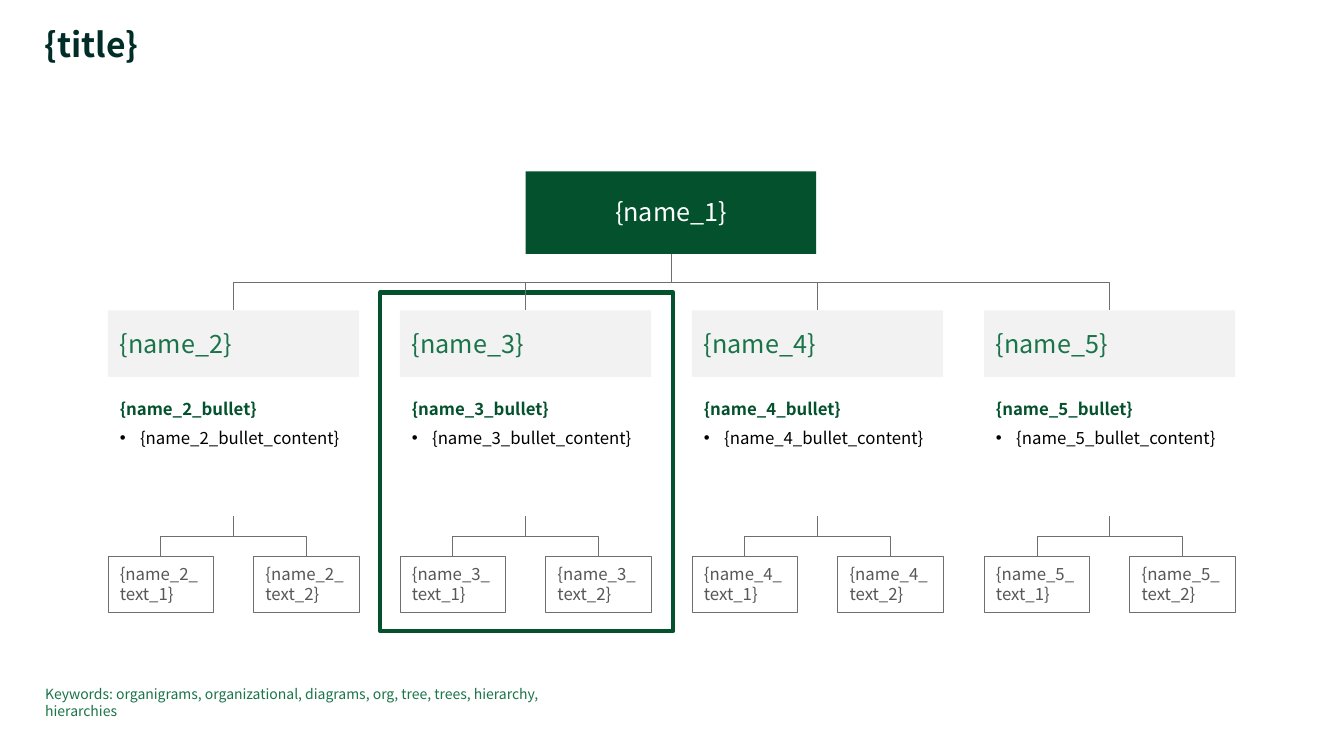
import pptx
import pptx.util
import pptx.dml.color
import pptx.enum.shapes
import pptx.enum.text
import pptx.oxml.ns
from lxml import etree

Cm, Pt = pptx.util.Cm, pptx.util.Pt
RGBColor = pptx.dml.color.RGBColor
MSO_SHAPE = pptx.enum.shapes.MSO_SHAPE
ANCHOR = pptx.enum.text.MSO_ANCHOR
ALIGN = pptx.enum.text.PP_ALIGN
qn = pptx.oxml.ns.qn

TITLE = "{title}"
ROOT = "{name_1}"
BRANCHES = [
    ("{name_2}", "{name_2_bullet}", "{name_2_bullet_content}", ["{name_2_text_1}", "{name_2_text_2}"]),
    ("{name_3}", "{name_3_bullet}", "{name_3_bullet_content}", ["{name_3_text_1}", "{name_3_text_2}"]),
    ("{name_4}", "{name_4_bullet}", "{name_4_bullet_content}", ["{name_4_text_1}", "{name_4_text_2}"]),
    ("{name_5}", "{name_5_bullet}", "{name_5_bullet_content}", ["{name_5_text_1}", "{name_5_text_2}"]),
]
KEYWORDS = "Keywords: organigrams, organizational, diagrams, org, tree, trees, hierarchy, hierarchies"

FONT = "Noto Sans CJK JP"
INK = RGBColor(0x00, 0x2D, 0x28)
DARK_GREEN = RGBColor(0x03, 0x52, 0x2D)
GREEN = RGBColor(0x1A, 0x74, 0x49)
PALE = RGBColor(0xF2, 0xF2, 0xF2)
LINE_GRAY = RGBColor(0x6E, 0x6F, 0x73)
TEXT_GRAY = RGBColor(0x57, 0x57, 0x57)
WHITE = RGBColor(0xFF, 0xFF, 0xFF)
BLACK = RGBColor(0x00, 0x00, 0x00)

# Lengths in cm
COL_LEFT, COL_PITCH, COL_W = 2.72, 7.36, 6.33
HEAD_TOP, HEAD_H = 7.82, 1.68
BULLET_TOP, BULLET_H = 10.06, 1.24
STEM_TOP = 13
LEAF_TOP, LEAF_W, LEAF_H = 14.02, 2.66, 1.4
ROOT_BOX = (13.25, 4.32, 7.32, 2.08)
FRAME_BOX = (9.58, 7.37, 7.39, 8.53)
PAD = 0.3


def write(p, text, size, color, bold=False, align=ALIGN.LEFT, **spacing):
    r = p.add_run()
    r.text = text
    r.font.color.rgb = color
    for name, value in {"name": FONT, "size": Pt(size), "bold": bold}.items():
        setattr(r.font, name, value)
    for name, value in {"alignment": align, **spacing}.items():
        setattr(p, name, value)


def set_frame(tf, side=0, edge=0, anchor=ANCHOR.TOP):
    """Set the insets, anchor and wrapping of a text frame."""
    formats = {"margin_left": Cm(side), "margin_right": Cm(side), "margin_top": Cm(edge),
               "margin_bottom": Cm(edge), "vertical_anchor": anchor, "word_wrap": True}
    for name, value in formats.items():
        setattr(tf, name, value)


def add_box(box, fill=None, line=None, weight=0.5):
    sp = slide.shapes.add_shape(MSO_SHAPE.RECTANGLE, *map(Cm, box))
    sp.shadow.inherit = False
    for part, color in ((sp.fill, fill), (sp.line.fill, line)):
        if color is None:
            part.background()
        else:
            part.solid()
            part.fore_color.rgb = color
    if line is not None:
        sp.line.width = Pt(weight)
    set_frame(sp.text_frame, PAD, 0.2, ANCHOR.MIDDLE)
    return sp


def add_text(box, side=0):
    tf = slide.shapes.add_textbox(*map(Cm, box)).text_frame
    set_frame(tf, side)
    return tf


def add_branch(x1, y1, x2, y2, child, parent=None):
    """Draw an elbow that leaves downwards, runs sideways and enters child from above."""
    cxn = slide.shapes.add_connector(pptx.enum.shapes.MSO_CONNECTOR.ELBOW, 0, 0, 0, 0)
    if parent is not None:
        cxn.begin_connect(parent, 2)
    cxn.end_connect(child, 0)
    # The box is stored unrotated, so its width is the drop and its height the run
    drop, run = y2 - y1, abs(x2 - x1)
    cxn.left, cxn.top = Cm((x1 + x2 - drop) / 2), Cm((y1 + y2 - run) / 2)
    cxn.width, cxn.height = Cm(drop), Cm(run)
    xfrm = cxn.element.spPr.find(qn("a:xfrm"))
    for flip in ("flipH", "flipV"):
        xfrm.attrib.pop(flip, None)
    xfrm.set("rot", "5400000" if x2 < x1 else "16200000")
    if x2 > x1:
        xfrm.set("flipH", "1")
    cxn.line.color.rgb = LINE_GRAY
    cxn.line.width = Pt(0.5)
    etree.SubElement(cxn.element.spPr, qn("a:effectLst"))


def add_bullet(p):
    ppr = p._p.get_or_add_pPr()
    ppr.set("marL", str(Cm(0.51)))
    ppr.set("indent", str(Cm(-0.51)))
    color = etree.SubElement(ppr, qn("a:buClr"))
    etree.SubElement(color, qn("a:srgbClr")).set("val", str(BLACK))
    etree.SubElement(ppr, qn("a:buFont")).set("typeface", "Arial")
    etree.SubElement(ppr, qn("a:buChar")).set("char", "•")


prs = pptx.Presentation()
prs.slide_width, prs.slide_height = Cm(33.87), Cm(19.05)
slide = prs.slides.add_slide(prs.slide_layouts[5])

title = slide.shapes.title
title.left, title.top, title.width, title.height = map(Cm, (1.12, 0.71, 28.02, 0.94))
set_frame(title.text_frame)
write(title.text_frame.paragraphs[0], TITLE, 24, INK, bold=True, line_spacing=0.9)

add_box(FRAME_BOX, line=DARK_GREEN, weight=3)
root = add_box(ROOT_BOX, fill=DARK_GREEN)
write(root.text_frame.paragraphs[0], ROOT, 18, WHITE, align=ALIGN.CENTER, line_spacing=0.95)
root_x, root_bottom = ROOT_BOX[0] + ROOT_BOX[2] / 2, ROOT_BOX[1] + ROOT_BOX[3]

for i, (name, heading, content, leaves) in enumerate(BRANCHES):
    left = COL_LEFT + i * COL_PITCH
    middle = left + COL_W / 2

    head = add_box((left, HEAD_TOP, COL_W, HEAD_H), fill=PALE)
    write(head.text_frame.paragraphs[0], name, 18, GREEN)
    add_branch(root_x, root_bottom, middle, HEAD_TOP, head, root)

    tf = add_text((left, BULLET_TOP, COL_W, BULLET_H), PAD)
    write(tf.paragraphs[0], heading, 12, DARK_GREEN, bold=True, space_after=Pt(6))
    p = tf.add_paragraph()
    add_bullet(p)
    write(p, content, 12, BLACK, space_after=Pt(6))

    for j, text in enumerate(leaves):
        leaf_left = left + j * (COL_W - LEAF_W)
        leaf = add_box((leaf_left, LEAF_TOP, LEAF_W, LEAF_H), fill=WHITE, line=LINE_GRAY)
        write(leaf.text_frame.paragraphs[0], text, 12, TEXT_GRAY)
        add_branch(middle, STEM_TOP, leaf_left + LEAF_W / 2, LEAF_TOP, leaf)

tf = add_text((1.14, 17.27, 13.87, 0.43))
write(tf.paragraphs[0], KEYWORDS, 10, GREEN)

prs.save("out.pptx")
